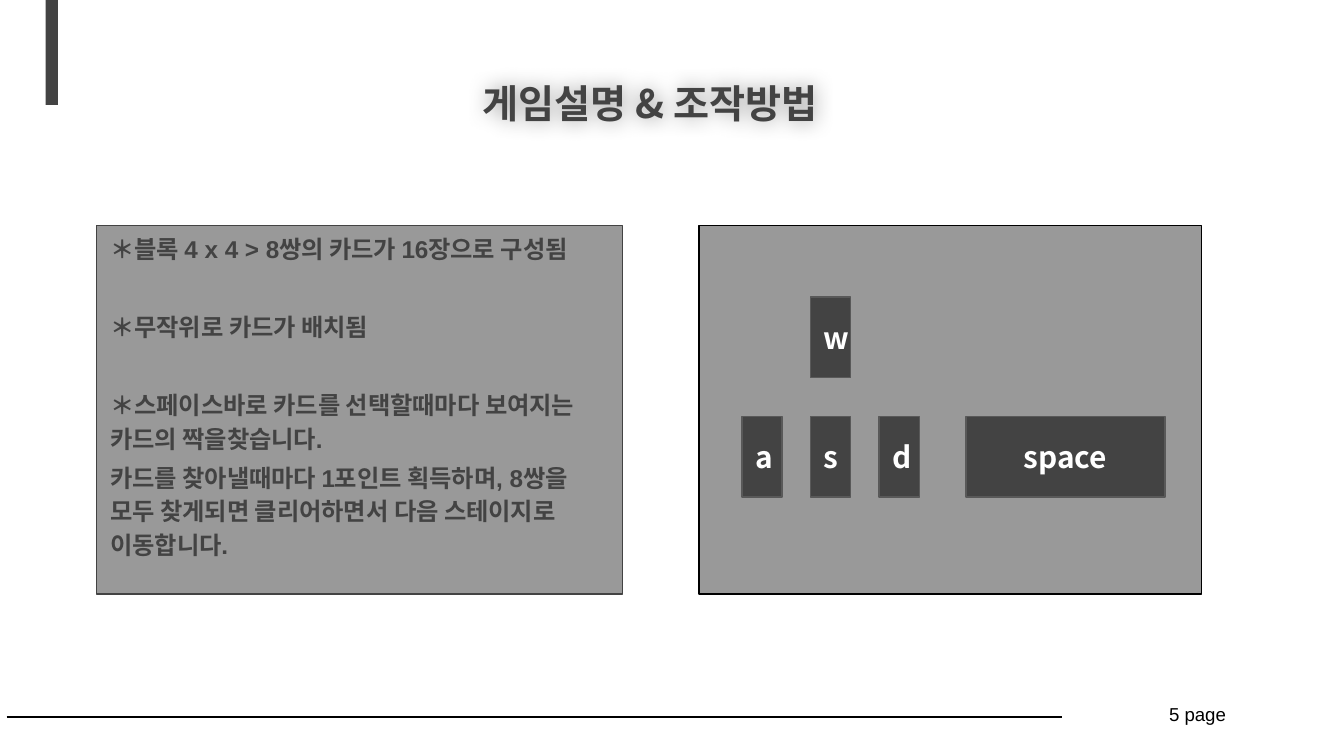
from collections import namedtuple

from lxml.etree import SubElement
from pptx import Presentation
from pptx.dml.color import RGBColor
from pptx.enum.shapes import MSO_CONNECTOR, MSO_SHAPE
from pptx.enum.text import MSO_ANCHOR, MSO_AUTO_SIZE, PP_ALIGN
from pptx.oxml.ns import qn
from pptx.util import Inches, Pt

Box = namedtuple("Box", "left top width height")

BLACK = RGBColor(0x00, 0x00, 0x00)
WHITE = RGBColor(0xFF, 0xFF, 0xFF)
CHARCOAL = RGBColor(0x43, 0x43, 0x43)
KEY_EDGE = RGBColor(0x59, 0x59, 0x59)
PANEL_GREY = RGBColor(0x99, 0x99, 0x99)
KOREAN = "Noto Sans CJK KR"
LATIN = "Arial"
INSET = 0.1

# Each rule: text and space before it in points
RULES = [
    ("＊블록 4 x 4 > 8쌍의 카드가 16장으로 구성됨", 3),
    ("＊무작위로 카드가 배치됨", 24),
    ("＊스페이스바로 카드를 선택할때마다 보여지는 카드의 짝을찾습니다.", 24),
    ("카드를 찾아낼때마다 1포인트 획득하며, 8쌍을 모두 찾게되면 "
     "클리어하면서 다음 스테이지로 이동합니다.", 3),
]
# Each key: label, grid column, grid row, width in inches
KEYS = [("a", 0, 1, 0.3), ("s", 1, 1, 0.3), ("d", 2, 1, 0.3),
        ("w", 1, 0, 0.3), ("space", 3.27, 1, 1.48)]


def emu(box):
    return [Inches(length) for length in box]


def place(shape, box):
    shape.left, shape.top, shape.width, shape.height = emu(box)


def paint(shape, fill, edge=None):
    shape.fill.solid()
    shape.fill.fore_color.rgb = fill
    if edge is None:
        shape.line.fill.background()
    else:
        shape.line.color.rgb = edge
        shape.line.width = Pt(0.75)


def add_rect(shapes, box, fill, edge=None):
    rect = shapes.add_shape(MSO_SHAPE.RECTANGLE, *emu(box))
    rect.shadow.inherit = False
    paint(rect, fill, edge)
    return rect


def set_frame(shape, anchor):
    frame = shape.text_frame
    frame.word_wrap = True
    frame.auto_size = MSO_AUTO_SIZE.NONE
    frame.vertical_anchor = anchor
    frame.margin_left = frame.margin_right = Inches(INSET)
    frame.margin_top = frame.margin_bottom = Inches(INSET)
    return frame


def write(paragraph, text, size, color, font, bold=True, align=PP_ALIGN.LEFT):
    run = paragraph.add_run()
    run.text = text
    paragraph.alignment = align
    paragraph.font.size = Pt(size)
    paragraph.font.bold = bold
    paragraph.font.color.rgb = color
    paragraph.font.name = font
    # Hangul typeface, without pair kerning
    run_properties = run._r.get_or_add_rPr()
    run_properties.set("kern", "0")
    SubElement(run_properties, qn("a:ea"), typeface=KOREAN)


def add_heading(slide, box):
    title = slide.shapes.title
    place(title, box)
    frame = set_frame(title, MSO_ANCHOR.BOTTOM)
    write(frame.paragraphs[0], "게임설명 & 조작방법", 21, CHARCOAL, KOREAN)
    # Soft halo behind the letters
    effects = SubElement(title._element.spPr, qn("a:effectLst"))
    halo = SubElement(effects, qn("a:outerShdw"), blurRad="142875", dist="0",
                      dir="5400000", algn="bl", rotWithShape="0")
    color = SubElement(halo, qn("a:srgbClr"), val="000000")
    SubElement(color, qn("a:alpha"), val="40000")


def add_rules(slide, box):
    body = slide.placeholders[1]
    place(body, box)
    paint(body, PANEL_GREY, CHARCOAL)
    frame = set_frame(body, MSO_ANCHOR.MIDDLE)
    frame.margin_bottom = Inches(INSET + 0.23)
    for index, (text, gap) in enumerate(RULES):
        paragraph = frame.add_paragraph() if index else frame.paragraphs[0]
        write(paragraph, text, 13, CHARCOAL, LATIN)
        paragraph.line_spacing = 1.15
        paragraph.space_before = Pt(gap)
        properties = paragraph._p.get_or_add_pPr()
        properties.set("marL", "0")
        properties.set("indent", "0")
        bullet = SubElement(properties, qn("a:buNone"))
        # Bullet settings come before the default run properties
        properties.find(qn("a:defRPr")).addprevious(bullet)


def add_controls(slide, box):
    shapes = slide.shapes.add_group_shape().shapes
    add_rect(shapes, box, PANEL_GREY, BLACK)
    column_pitch, row_pitch = 0.51, 0.89
    for label, column, row, width in KEYS:
        key_box = Box(box.left + 0.32 + column * column_pitch,
                      box.top + 0.53 + row * row_pitch, width, 0.6)
        key = add_rect(shapes, key_box, CHARCOAL, KEY_EDGE)
        frame = set_frame(key, MSO_ANCHOR.MIDDLE)
        align = PP_ALIGN.LEFT if label == "s" else PP_ALIGN.CENTER
        write(frame.paragraphs[0], label, 16, WHITE, KOREAN, align=align)


def add_footer(slide, box):
    middle = box.top + box.height / 2 + 0.02
    rule = slide.shapes.add_connector(
        MSO_CONNECTOR.STRAIGHT,
        *emu((box.left, middle, box.left + 7.85, middle)))
    rule.line.color.rgb = BLACK
    rule.line.width = Pt(0.75)
    SubElement(rule._element.spPr, qn("a:effectLst"))
    number_box = Box(box.left + box.width - 1.5, box.top, 1.5, box.height)
    number = slide.shapes.add_textbox(*emu(number_box))
    frame = set_frame(number, MSO_ANCHOR.MIDDLE)
    write(frame.paragraphs[0], "5 page", 10, BLACK, LATIN, bold=False,
          align=PP_ALIGN.CENTER)


def main():
    deck = Presentation()
    deck.slide_width = Inches(10)
    deck.slide_height = deck.slide_width * 9 // 16
    slide = deck.slides.add_slide(deck.slide_layouts[1])
    panel_top, panel_height = 1.68, 2.74

    add_footer(slide, Box(0.05, 5.22, 9.61, 0.19))
    add_rect(slide.shapes, Box(0.34, 0, 0.09, 0.78), CHARCOAL)  # accent bar
    add_heading(slide, Box(3.49, 0.49, 3.01, 0.55))
    add_controls(slide, Box(5.2, panel_top, 3.74, panel_height))
    add_rules(slide, Box(0.72, panel_top, 3.91, panel_height))
    deck.save("out.pptx")


if __name__ == "__main__":
    main()
